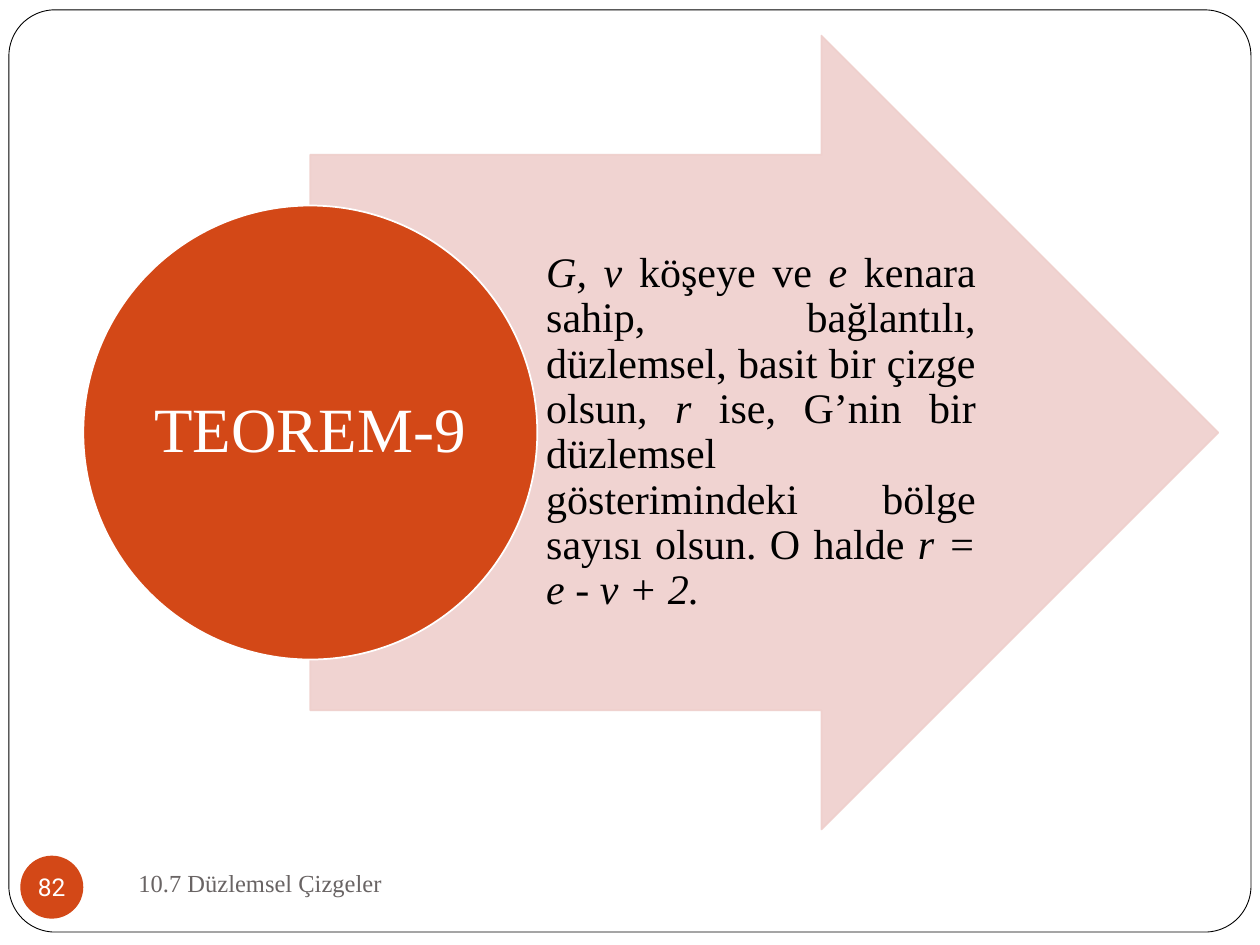
import math

import lxml.etree
import pptx
import pptx.dml.color
import pptx.enum.shapes
import pptx.enum.text
import pptx.oxml.ns
import pptx.util

Cm = pptx.util.Cm
Pt = pptx.util.Pt
RGBColor = pptx.dml.color.RGBColor
SHAPE = pptx.enum.shapes.MSO_SHAPE
ALIGN = pptx.enum.text.PP_ALIGN

WHITE = RGBColor(0xFF, 0xFF, 0xFF)
BLACK = RGBColor(0x00, 0x00, 0x00)
ORANGE = RGBColor(0xD3, 0x48, 0x17)
PINK = RGBColor(0xEF, 0xCF, 0xCC)
GREY = RGBColor(0x69, 0x64, 0x64)
SERIF = "Times New Roman"
SANS = "Roboto"

THEOREM = [
    ("G, v", True),
    (" köşeye ve ", False),
    ("e", True),
    (" kenara sahip, bağlantılı, düzlemsel, basit bir çizge olsun, ", False),
    ("r", True),
    (" ise, G’nin bir düzlemsel gösterimindeki bölge sayısı olsun. O halde ", False),
    ("r = e - v + 2.", True),
]


def add_figure(shapes, kind, box, fill, line=None, weight=1):
    figure = shapes.add_shape(kind, *(Cm(length) for length in box))
    figure.shadow.inherit = False
    figure.fill.solid()
    figure.fill.fore_color.rgb = fill
    if line is None:
        figure.line.fill.background()
    else:
        figure.line.color.rgb = line
        figure.line.width = Pt(weight)
    return figure


def write_text(shape, spans, font, size, color, align, margins, spacing=1, wrap=True):
    text_frame = shape.text_frame
    text_frame.word_wrap = wrap
    text_frame.vertical_anchor = pptx.enum.text.MSO_ANCHOR.MIDDLE
    (text_frame.margin_left, text_frame.margin_top,
     text_frame.margin_right, text_frame.margin_bottom) = map(Cm, margins)
    para = text_frame.paragraphs[0]
    para.alignment = align
    para.line_spacing = spacing
    for text, italic in spans:
        span = para.add_run()
        span.text = text
        span.font.name = font
        span.font.size = Pt(size)
        span.font.italic = italic
        span.font.color.rgb = color


def set_opacity(shape, percent):
    for color in shape.element.spPr.iter(pptx.oxml.ns.qn("a:srgbClr")):
        alpha = lxml.etree.SubElement(color, pptx.oxml.ns.qn("a:alpha"))
        alpha.set("val", str(percent * 1000))


def add_frame(page, box):
    frame = add_figure(page.shapes, SHAPE.ROUNDED_RECTANGLE, box, WHITE, BLACK, 0.5)
    frame.adjustments[0] = 0.05


def add_footer(page, box):
    left, top, width, height = box
    title_left = 2.13
    title_box = page.shapes.add_textbox(
        Cm(left + title_left), Cm(top - 0.1), Cm(width - title_left), Cm(height))
    write_text(title_box, [("10.7 Düzlemsel Çizgeler", False)], SERIF, 14, GREY,
               ALIGN.LEFT, (0.25, 0.13, 0.25, 0.13))
    badge = add_figure(page.shapes, SHAPE.OVAL, (left, top, height, height), ORANGE)
    write_text(badge, [("82", False)], SANS, 14, WHITE, ALIGN.CENTER,
               (0, 0, 0, 0), wrap=False)


def add_theorem(page, box):
    left, top, width, height = box
    diameter = width * 0.4
    radius = diameter / 2
    shaft = 0.7
    group = page.shapes.add_group_shape()

    arrow = add_figure(group.shapes, SHAPE.RIGHT_ARROW,
                       (left + radius, top, width - radius, height), PINK, PINK)
    arrow.adjustments[0] = shaft
    arrow.adjustments[1] = 0.5
    set_opacity(arrow, 90)

    statement = group.shapes.add_textbox(
        Cm(left + diameter), Cm(top + height * (1 - shaft) / 2),
        Cm(8.92), Cm(height * shaft))
    write_text(statement, THEOREM, SERIF, 24, BLACK, ALIGN.JUSTIFY,
               (0.18, 0.05, 0.08, 0.05), 0.9)

    circle = add_figure(group.shapes, SHAPE.OVAL,
                        (left, top + height / 2 - radius, diameter, diameter),
                        ORANGE, WHITE)
    write_text(circle, [("TEOREM-9", False)], SERIF, 36, WHITE, ALIGN.CENTER,
               (0.08, 0.08, 0.08, 0.08), 0.9)


def main():
    deck = pptx.Presentation()
    deck.slide_width = Cm(25.4)
    deck.slide_height = Cm(19.05)
    page = deck.slides.add_slide(deck.slide_layouts[6])
    add_frame(page, (0.18, 0.2, 25.04, 18.59))
    add_footer(page, (0.41, 17.25, 13.13, 1.27))
    add_theorem(page, (1.68, 0.72, 22.88, 16))
    deck.save("out.pptx")


if __name__ == "__main__":
    main()
